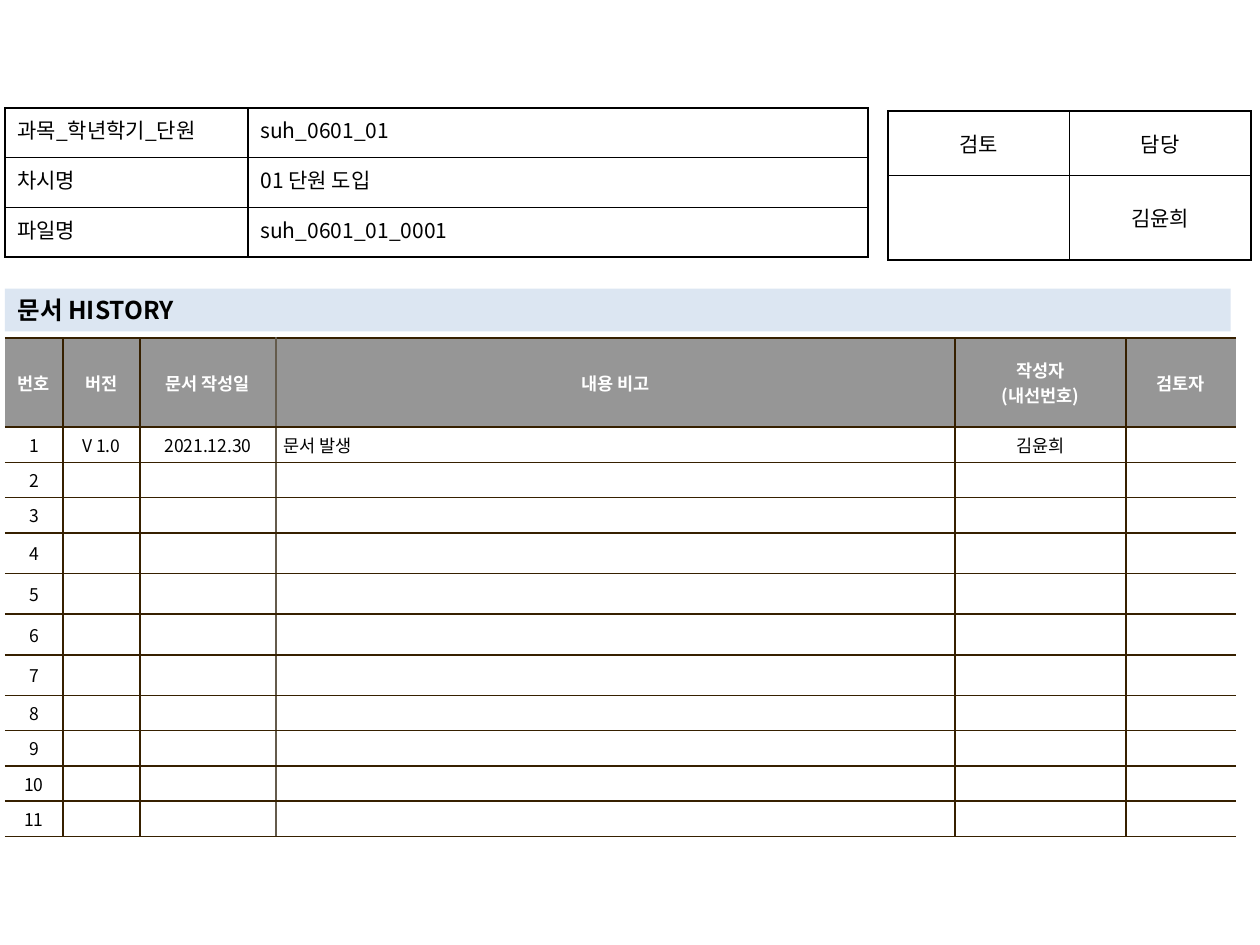
from lxml import etree
from pptx import Presentation
from pptx import util as u
from pptx.dml.color import RGBColor
from pptx.enum import text
from pptx.oxml import ns

FONT = "Noto Sans CJK KR"
BLACK = RGBColor(0x00, 0x00, 0x00)
WHITE = RGBColor(0xFF, 0xFF, 0xFF)
GREY = RGBColor(0x96, 0x96, 0x96)
PALE_BLUE = RGBColor(0xDC, 0xE6, 0xF2)
BROWN = RGBColor(0x36, 0x20, 0x00)
TAUPE = RGBColor(0x64, 0x5B, 0x4C)
NO_STYLE = "{2D5ABB26-0587-4C30-8999-92F81FD0307C}"

LEFT, CENTER, JUSTIFY = (
    text.PP_ALIGN.LEFT, text.PP_ALIGN.CENTER, text.PP_ALIGN.JUSTIFY)
TOP, MIDDLE = text.MSO_ANCHOR.TOP, text.MSO_ANCHOR.MIDDLE


def write(tf, content, size=12, color=BLACK, bold=False, align=LEFT):
    for i, line in enumerate(content.split("\n")):
        p = tf.paragraphs[0] if i == 0 else tf.add_paragraph()
        p.alignment = align
        if line:
            r = p.add_run()
            r.text = line
            r.font.size = u.Pt(size)
            r.font.bold = bold
            r.font.name = FONT
            r.font.color.rgb = color
            ea = etree.SubElement(r.font._element, ns.qn("a:ea"))
            ea.set("typeface", FONT)
        else:
            end = etree.SubElement(p._p, ns.qn("a:endParaRPr"))
            end.set("sz", str(size * 100))


def set_border(cell, side, color):
    tc_pr = cell._tc.get_or_add_tcPr()
    ln = etree.SubElement(tc_pr, ns.qn(f"a:ln{side}"))
    ln.set("w", str(u.Pt(1)))
    fill = etree.SubElement(ln, ns.qn("a:solidFill"))
    etree.SubElement(fill, ns.qn("a:srgbClr")).set("val", str(color))


def set_margins(cell, horizontal, vertical):
    cell.margin_left = cell.margin_right = u.Cm(horizontal)
    cell.margin_top = cell.margin_bottom = u.Cm(vertical)


def add_grid(slide, left, top, widths, heights):
    frame = slide.shapes.add_table(
        len(heights), len(widths), u.Cm(left), u.Cm(top),
        u.Cm(sum(widths)), u.Cm(sum(heights)))
    table = frame.table
    table.first_row = table.horz_banding = False
    table._tbl.tblPr.find(ns.qn("a:tableStyleId")).text = NO_STYLE
    for column, width in zip(table.columns, widths):
        column.width = u.Cm(width)
    for row, height in zip(table.rows, heights):
        row.height = u.Cm(height)
    return table


def add_info_table(slide, left, top, widths, heights, rows, aligns, anchor):
    table = add_grid(slide, left, top, widths, heights)
    for i, row in enumerate(rows):
        for j, content in enumerate(row):
            cell = table.cell(i, j)
            for side in "LRTB":
                set_border(cell, side, BLACK)
            cell.fill.background()
            set_margins(cell, 0.25, 0.13)
            cell.vertical_anchor = anchor
            write(cell.text_frame, content, align=aligns[j])


def add_history_table(slide):
    header = ["번호", "버전", "문서 작성일", "내용 비고",
              "작성자\n(내선번호)", "검토자"]
    first = ["1", "V 1.0", "2021.12.30", "문서 발생", "김윤희", ""]
    rows = [header, first] + [[str(n)] + [""] * 5 for n in range(2, 12)]
    widths = [1.17, 1.55, 2.74, 13.69, 3.45, 2.21]
    heights = [1.8] + [0.71] * 3 + [0.82] * 4 + [0.71] * 4
    dividers = [BROWN, BROWN, TAUPE, BROWN, BROWN]
    note = header.index("내용 비고")

    table = add_grid(slide, 0.1, 6.81, widths, heights)
    for i, row in enumerate(rows):
        for j, content in enumerate(row):
            cell = table.cell(i, j)
            if j > 0:
                set_border(cell, "L", dividers[j - 1])
            if j < len(dividers):
                set_border(cell, "R", dividers[j])
            for side in "TB":
                set_border(cell, side, BROWN)
            cell.fill.solid()
            cell.fill.fore_color.rgb = WHITE if i else GREY
            set_margins(cell, 0.15, 0.1)
            cell.vertical_anchor = MIDDLE
            write(cell.text_frame, content, size=10,
                  color=BLACK if i else WHITE, bold=i == 0,
                  align=LEFT if i and j == note else CENTER)


def add_heading(slide):
    sp = slide.shapes.title
    sp.left, sp.top = u.Cm(0.1), u.Cm(5.82)
    sp.width, sp.height = u.Cm(24.71), u.Cm(0.86)
    sp.fill.solid()
    sp.fill.fore_color.rgb = PALE_BLUE
    tf = sp.text_frame
    tf.word_wrap = True
    tf.auto_size = text.MSO_AUTO_SIZE.NONE
    tf.vertical_anchor = MIDDLE
    write(tf, "문서 HISTORY", size=14, bold=True)


def main():
    prs = Presentation()
    prs.slide_width, prs.slide_height = u.Cm(25.4), u.Cm(19.05)
    s = prs.slides.add_slide(prs.slide_layouts.get_by_name("Title Only"))
    add_history_table(s)
    add_info_table(s, 17.9, 2.24, [3.66] * 2, [1.3, 1.7],
                   [["검토", "담당"], ["", "김윤희"]],
                   [CENTER, CENTER], MIDDLE)
    add_heading(s)
    add_info_table(s, 0.1, 2.18, [4.9, 12.5], [1] * 3,
                   [["과목_학년학기_단원", "suh_0601_01"],
                    ["차시명", "01 단원 도입"],
                    ["파일명", "suh_0601_01_0001"]],
                   [JUSTIFY, LEFT], TOP)
    prs.save("out.pptx")


if __name__ == "__main__":
    main()
